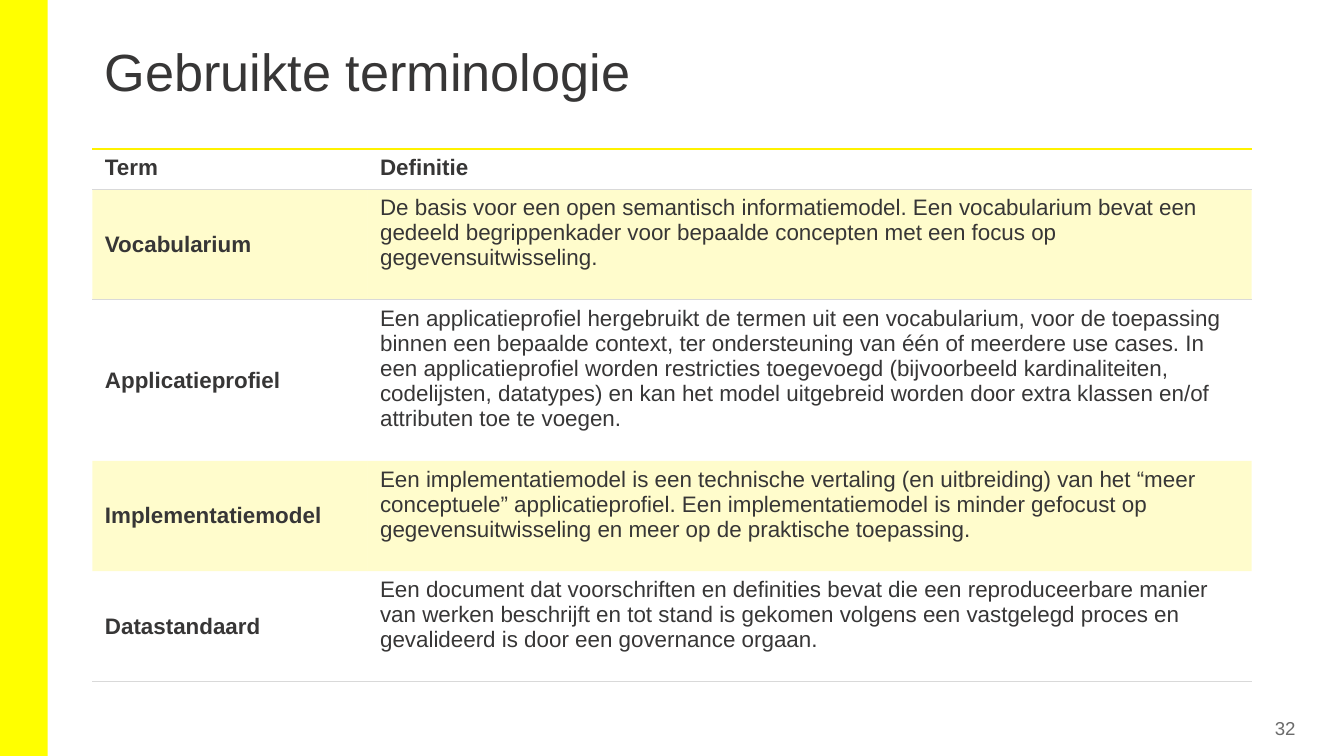
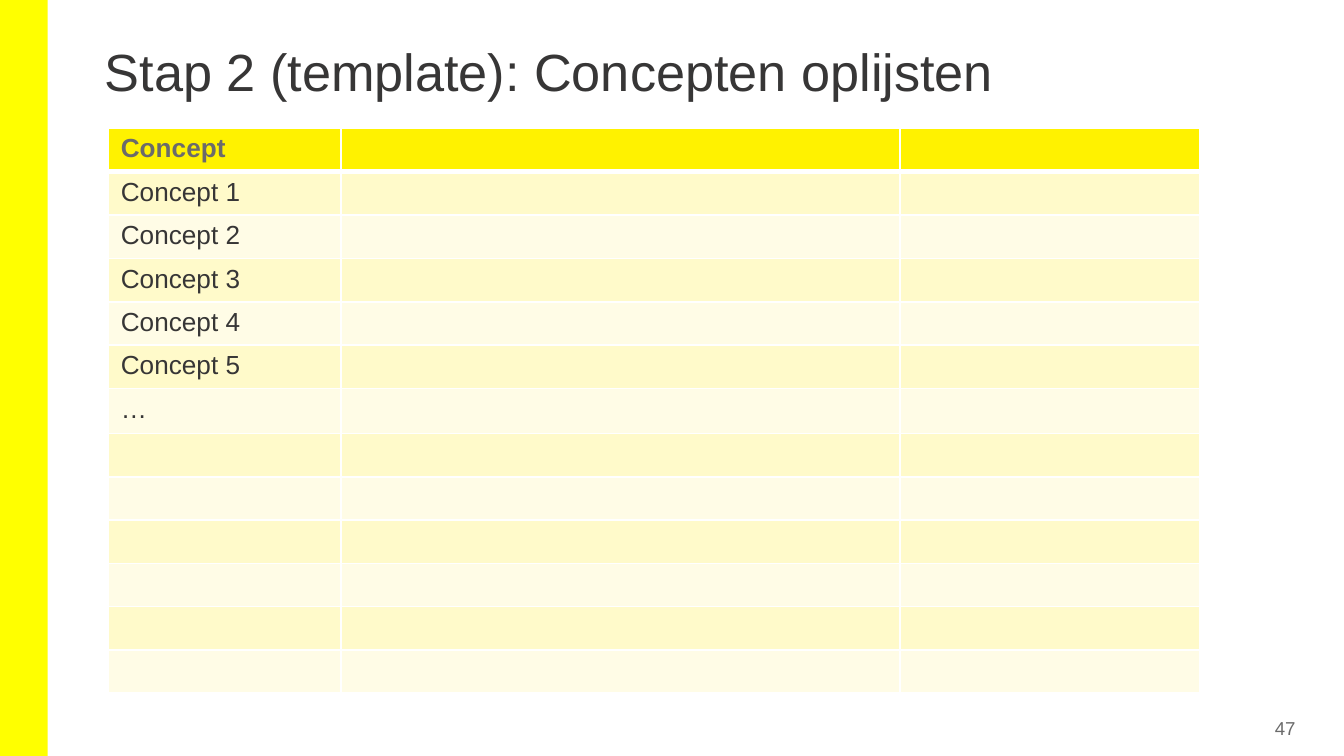
from lxml import etree
from pptx import Presentation
from pptx.dml.color import RGBColor
from pptx.enum import shapes, text
from pptx.oxml.ns import qn
from pptx.util import Pt

# Content
TERMS_TITLE = "Gebruikte terminologie"
TERMS = [
    ("Term", "Definitie"),
    ("Vocabularium",
     "De basis voor een open semantisch informatiemodel. Een vocabularium bevat een "
     "gedeeld begrippenkader voor bepaalde concepten met een focus op "
     "gegevensuitwisseling."),
    ("Applicatieprofiel",
     "Een applicatieprofiel hergebruikt de termen uit een vocabularium, voor de "
     "toepassing binnen een bepaalde context, ter ondersteuning van één of meerdere "
     "use cases. In een applicatieprofiel worden restricties toegevoegd (bijvoorbeeld "
     "kardinaliteiten, codelijsten, datatypes) en kan het model uitgebreid worden door "
     "extra klassen en/of attributen toe te voegen."),
    ("Implementatiemodel",
     "Een implementatiemodel is een technische vertaling (en uitbreiding) van het "
     "“meer conceptuele” applicatieprofiel. Een implementatiemodel is minder gefocust "
     "op gegevensuitwisseling en meer op de praktische toepassing."),
    ("Datastandaard",
     "Een document dat voorschriften en definities bevat die een reproduceerbare "
     "manier van werken beschrijft en tot stand is gekomen volgens een vastgelegd "
     "proces en gevalideerd is door een governance orgaan."),
]
CONCEPTS_TITLE = "Stap 2 (template): Concepten oplijsten"
CONCEPTS = ["Concept", "Concept 1", "Concept 2", "Concept 3", "Concept 4",
            "Concept 5", "…"] + [""] * 6

# Shared look
FONT = "Arial"
INK = RGBColor(0x37, 0x36, 0x36)
GREY = RGBColor(0x6B, 0x6B, 0x6B)
RULE = RGBColor(0xD9, 0xD9, 0xD9)
WHITE = RGBColor(0xFF, 0xFF, 0xFF)
BAND = RGBColor(0xFF, 0xFF, 0x00)
ACCENT = RGBColor(0xFF, 0xF2, 0x00)
STRIPES = (RGBColor(0xFF, 0xFC, 0xE6), RGBColor(0xFF, 0xFA, 0xCA))
SLIDE_W, SLIDE_H = 720, 405
INSETS = (6.75, 3.2)
NO_STYLE = "{2D5ABB26-0587-4C30-8999-92F81FD0307C}"
TOP, MIDDLE = text.MSO_ANCHOR.TOP, text.MSO_ANCHOR.MIDDLE


def write(frame, words, size=12, colour=INK, bold=False,
          align=text.PP_ALIGN.LEFT, spacing=None):
    """Put one formatted paragraph in a text frame."""
    para = frame.paragraphs[0]
    para.alignment = align
    if spacing:
        para.line_spacing = spacing
    if not words:
        etree.SubElement(para._p, qn("a:endParaRPr"), sz=str(size * 100))
        return
    run = para.add_run()
    run.text = words
    run.font.name, run.font.size = FONT, Pt(size)
    run.font.bold, run.font.color.rgb = bold, colour


def set_insets(target, across, down):
    target.margin_left = target.margin_right = Pt(across)
    target.margin_top = target.margin_bottom = Pt(down)


def add_text(slide, box, words, insets=INSETS, anchor=TOP, **style):
    frame = slide.shapes.add_textbox(*map(Pt, box)).text_frame
    frame.word_wrap = True
    frame.vertical_anchor = anchor
    set_insets(frame, *insets)
    write(frame, words, **style)


def add_page(deck, title, number):
    """Start a slide with the side band, title and page number."""
    slide = deck.slides.add_slide(deck.slide_layouts[6])
    band = slide.shapes.add_shape(shapes.MSO_SHAPE.RECTANGLE, 0, 0, Pt(25.5), Pt(SLIDE_H))
    band.shadow.inherit = False
    band.fill.solid()
    band.fill.fore_color.rgb = BAND
    band.line.fill.background()
    add_text(slide, (49.5, 21.6, 621, 58), title, size=28, spacing=0.9)
    add_text(slide, (643, 382.5, 54, 15), str(number), insets=(3, 3), anchor=MIDDLE,
             size=10, colour=GREY, align=text.PP_ALIGN.RIGHT)
    return slide


def add_grid(slide, left, top, widths, heights):
    table = slide.shapes.add_table(len(heights), len(widths), Pt(left), Pt(top),
                                   Pt(sum(widths)), Pt(sum(heights))).table
    table._tbl.tblPr.find(qn("a:tableStyleId")).text = NO_STYLE
    table.first_row = table.horz_banding = False
    for column, width in zip(table.columns, widths):
        column.width = Pt(width)
    for row, height in zip(table.rows, heights):
        row.height = Pt(height)
    return table


def fill_cell(cell, words, fill=None, alpha=None, borders=None, anchor=TOP, **style):
    """Write a cell; borders maps a side (L, R, T, B) to (colour, width)."""
    set_insets(cell, *INSETS)
    cell.vertical_anchor = anchor
    write(cell.text_frame, words, **style)
    if fill is None:
        cell.fill.background()
    else:
        cell.fill.solid()
        cell.fill.fore_color.rgb = fill
    props = cell._tc.get_or_add_tcPr()
    if alpha:
        colour = props.find(".//" + qn("a:srgbClr"))
        etree.SubElement(colour, qn("a:alpha"), val=str(alpha * 1000))
    sides = [side for side in "LRTB" if side in (borders or {})]
    for place, side in enumerate(sides):
        colour, width = borders[side]
        line = etree.Element(qn("a:ln" + side), w=str(Pt(width)))
        solid = etree.SubElement(line, qn("a:solidFill"))
        etree.SubElement(solid, qn("a:srgbClr"), val=str(colour))
        props.insert(place, line)


def build_terms(deck):
    slide = add_page(deck, TERMS_TITLE, 32)
    heights = (21.7, 59.2, 86.2, 59.2, 59.2)
    table = add_grid(slide, 49.5, 79.8, (147.4, 473.6), heights)
    rule = (RULE, 0.5)
    borders = {0: {"T": (ACCENT, 1), "B": rule}, 1: {"T": rule}, len(TERMS) - 1: {"B": rule}}
    for r, entry in enumerate(TERMS):
        shaded = r % 2 == 1
        for c, words in enumerate(entry):
            fill_cell(table.cell(r, c), words, bold=r == 0 or c == 0,
                      fill=ACCENT if shaded else None, alpha=20 if shaded else None,
                      anchor=MIDDLE if r and c == 0 else TOP, borders=borders.get(r))


def build_concepts(deck):
    slide = add_page(deck, CONCEPTS_TITLE, 47)
    special = {"Concept": 23.6, "…": 24.2}
    heights = [special.get(concept, 23) for concept in CONCEPTS]
    widths = (124.6, 299.5, 160.6)
    table = add_grid(slide, 58, 68.5, widths, heights)
    for r, concept in enumerate(CONCEPTS):
        head = r == 0
        borders = dict.fromkeys("LRTB", (WHITE, 1))
        if r < 2:
            borders["B" if head else "T"] = (WHITE, 3)
        for c in range(len(widths)):
            fill_cell(table.cell(r, c), "" if c else concept, size=14, bold=head,
                      colour=GREY if head else INK, borders=borders,
                      fill=ACCENT if head else STRIPES[r % 2])


def main():
    deck = Presentation()
    deck.slide_width, deck.slide_height = Pt(SLIDE_W), Pt(SLIDE_H)
    build_terms(deck)
    build_concepts(deck)
    deck.save("out.pptx")


if __name__ == "__main__":
    main()
